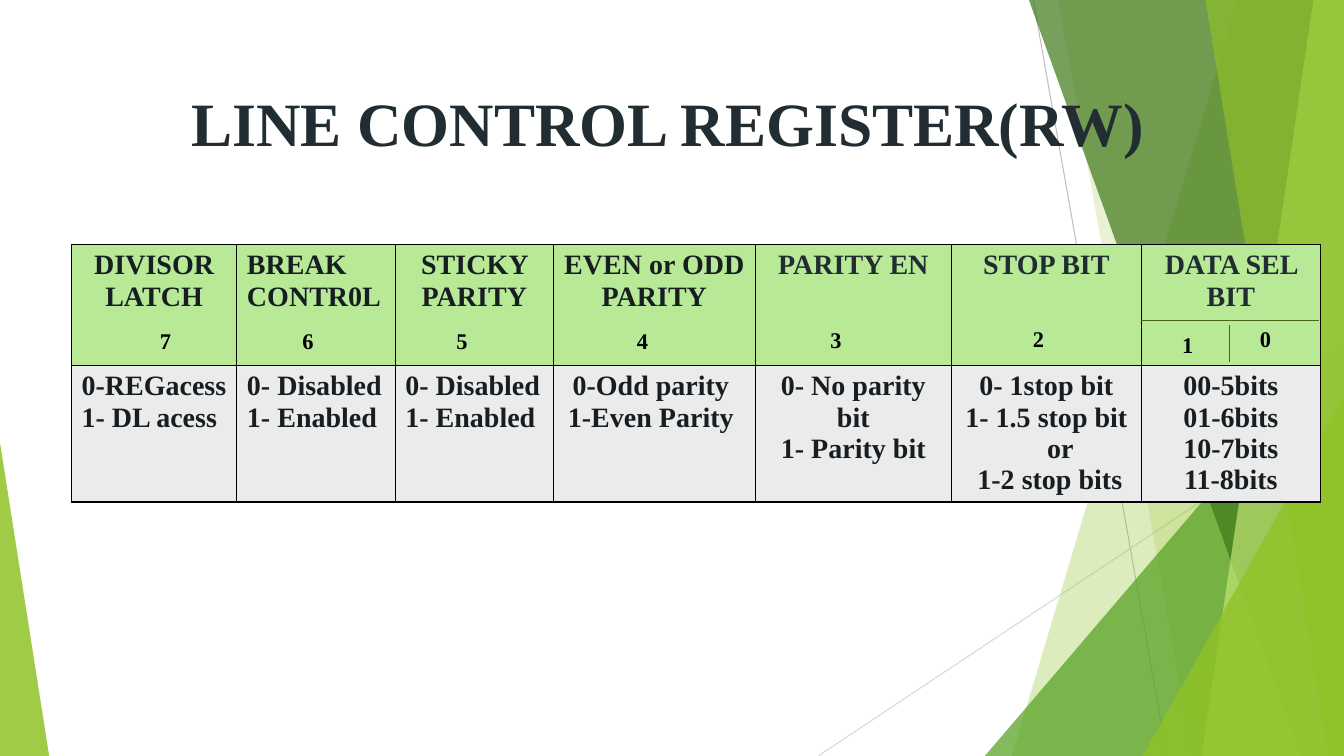
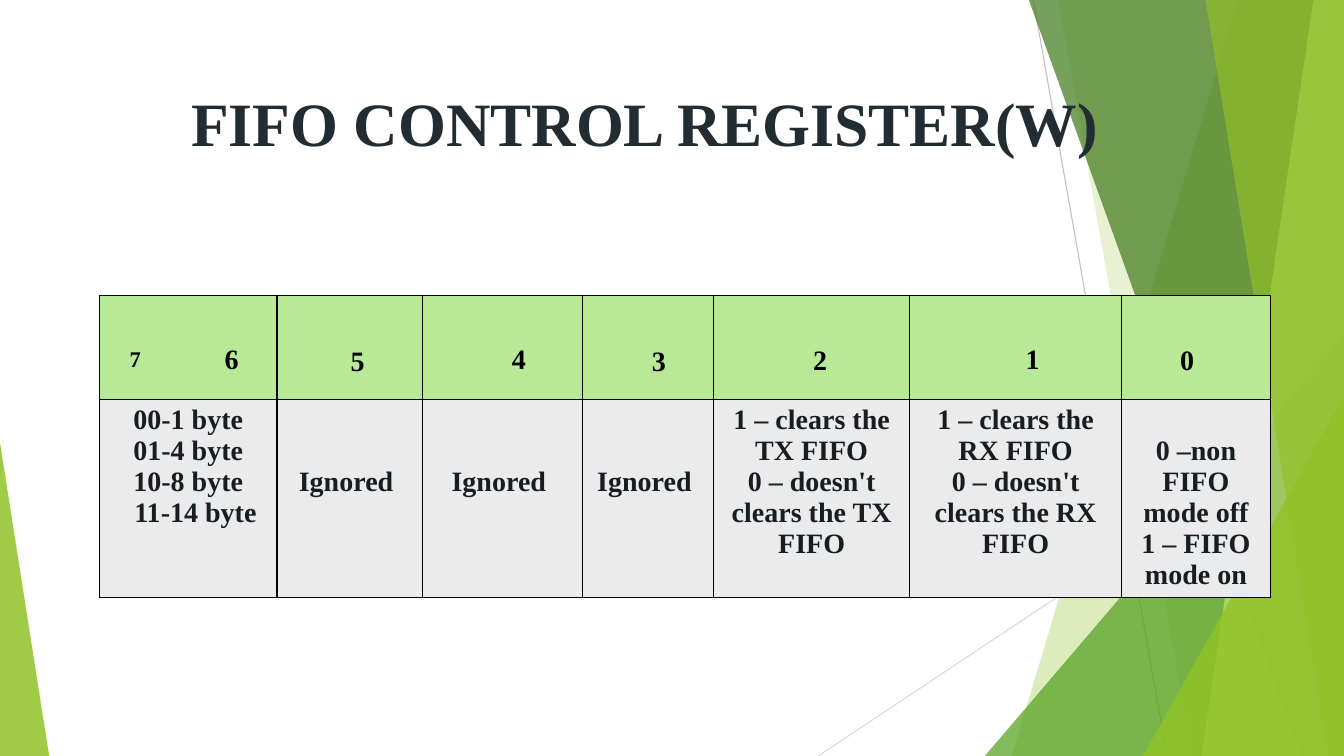
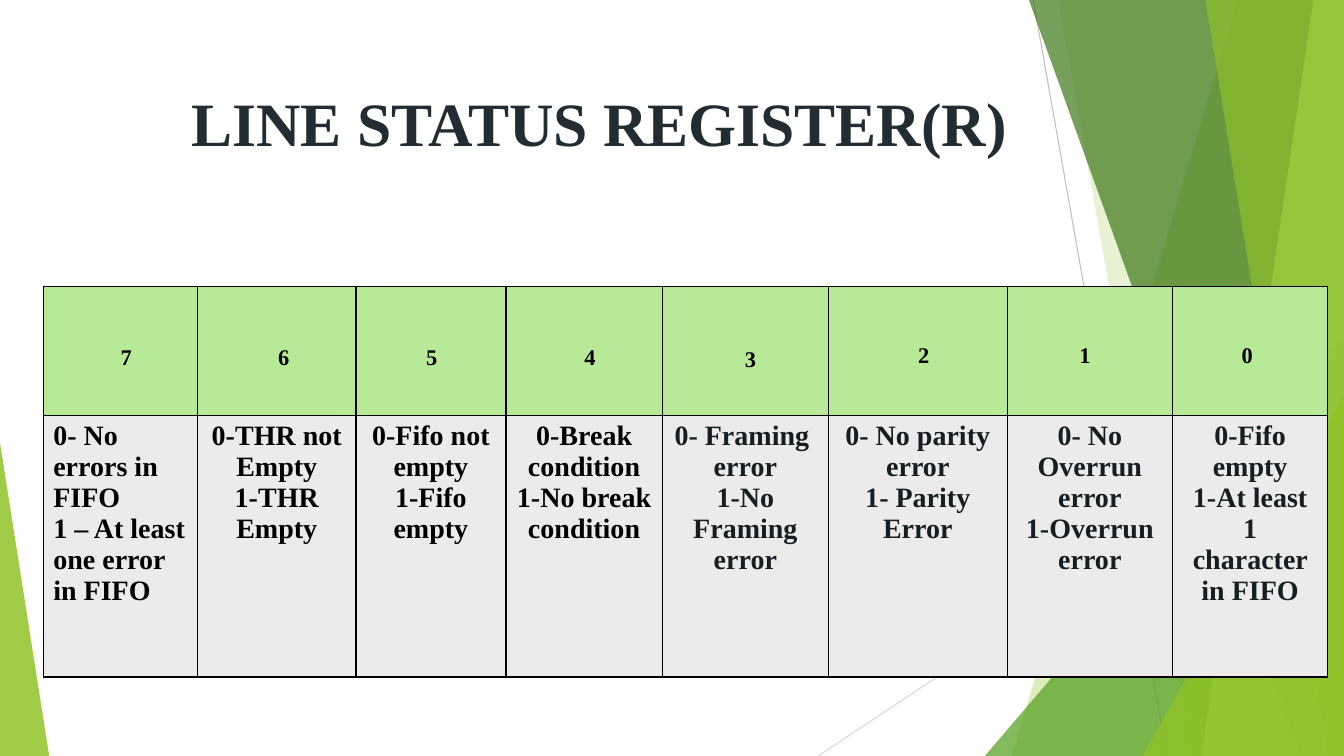
from lxml import etree
from pptx import Presentation
from pptx.dml.color import RGBColor
from pptx.enum.shapes import MSO_CONNECTOR, MSO_SHAPE
from pptx.enum.text import MSO_ANCHOR, MSO_AUTO_SIZE, PP_ALIGN
from pptx.oxml.ns import qn
from pptx.util import Cm, Pt

LEFT, CENTER = PP_ALIGN.LEFT, PP_ALIGN.CENTER
TOP = MSO_ANCHOR.TOP
GROW = MSO_AUTO_SIZE.SHAPE_TO_FIT_TEXT
STRAIGHT = MSO_CONNECTOR.STRAIGHT
TRIANGLE = MSO_SHAPE.ISOSCELES_TRIANGLE

FONT = "Times New Roman"
WIDTH, HEIGHT = 33.87, 19.05
COLORS = {
    "title": "212D32",
    "ink": "161E22",
    "black": "000000",
    "head": "B7E996",
    "body": "EBEBEB",
    "divider": "486113",
    "hairline": "BFBFBF",
    "pale hairline": "D9D9D9",
    "lime": "90C226",
    "green": "54A021",
    "forest": "3F7819",
    "mint": "C0E474",
}

# Facets from back to front: colour, opacity in percent, geometry.
# Bands give top x and bottom x and reach the right edge;
# triangles give left, top, width, height and apex position.
FACETS = [
    ("lime", 30, (31.19, 25.5)),
    ("lime", 20, (26.67, 30.05)),
    ("green", 72, (24.82, 8.46, 9.05, 10.59, 1)),
    ("forest", 70, (25.93, 32.79)),
    ("mint", 70, (33.1, 30.28)),
    ("lime", 65, (30.38, 33.48)),
    ("lime", 80, (28.8, 9.98, 5.07, 9.07, 1)),
    ("lime", 85, (0, 11.15, 1.24, 7.9, 0)),
]

BIT_WIDTHS = {7: 0.97, 6: 0.97, 5: 0.97, 4: 1.12, 3: 0.84, 2: 1.12, 1: 1.12, 0: 1.05}

# Lines that sit right of the centre, and cells whose text starts lower (cm).
LINE_INDENTS = {"or": 0.7, "11-14 byte": 0.36}
CELL_DROPS = {"Ignored ": 1.69, "0 –non FIFO mode off": 0.91}

# Columns: width, heading, heading colour, heading alignment,
#          body lines, body colour, body alignment.
# Bits: left and top of the labels 7 to 0.
REGISTERS = [
    {
        "title": "LINE CONTROL REGISTER(RW)",
        "at": (1.8, 6.17),
        "rows": (3.05, 3.43),
        "columns": [
            (4.17, "DIVISOR LATCH", "ink", CENTER, ["0-REGacess", "1- DL acess"], "ink", LEFT),
            (3.99, "BREAK CONTR0L", "ink", LEFT, ["0- Disabled", "1- Enabled"], "ink", LEFT),
            (3.99, "STICKY PARITY", "ink", CENTER, ["0- Disabled", "1- Enabled"], "ink", LEFT),
            (5.08, "EVEN or ODD PARITY", "ink", CENTER,
             ["0-Odd parity ", "1-Even Parity "], "ink", CENTER),
            (4.95, "PARITY EN", "title", CENTER,
             ["0- No parity bit", "1- Parity bit"], "ink", CENTER),
            (4.78, "STOP BIT", "title", CENTER,
             ["0- 1stop bit", "1- 1.5 stop bit", "or", " 1-2 stop bits"], "ink", CENTER),
            (4.52, "DATA SEL BIT", "title", CENTER,
             ["00-5bits", "01-6bits", "10-7bits", "11-8bits"], "ink", CENTER),
        ],
        "dividers": [(28.75, 8.08, 33.25, 8.08), (30.99, 8.2, 30.99, 9.12)],
        "bit sizes": [16] * 8,
        "bits": [(3.78, 8.13), (7.37, 8.13), (11.25, 8.13), (15.8, 8.13),
                 (20.68, 8.1), (25.78, 8.08), (29.54, 8.23), (31.5, 8.08)],
    },
    {
        "title": "FIFO CONTROL REGISTER(W)",
        "at": (2.51, 7.44),
        "rows": (2.62, 5),
        "columns": [
            (4.47, "", "ink", CENTER,
             ["00-1 byte", "01-4 byte", "10-8 byte", "11-14 byte"], "ink", CENTER),
            (3.66, "", "ink", CENTER, ["Ignored "], "ink", CENTER),
            (4.04, "", "ink", CENTER, ["Ignored "], "ink", CENTER),
            (3.3, "", "ink", CENTER, ["Ignored "], "ink", CENTER),
            (4.95, "", "ink", CENTER,
             ["1 – clears the TX FIFO", "0 – doesn't clears the TX FIFO"], "ink", CENTER),
            (5.33, "", "ink", CENTER,
             ["1 – clears the RX FIFO", "0 – doesn't clears the RX FIFO"], "ink", CENTER),
            (3.76, "", "ink", CENTER,
             ["0 –non FIFO mode off", "1 – FIFO mode on"], "ink", CENTER),
        ],
        "dividers": [],
        "bit sizes": [16] + [20] * 7,
        "bits": [(3.02, 8.56), (5.41, 8.48), (8.59, 8.53), (12.65, 8.48),
                 (16.18, 8.53), (20.24, 8.51), (25.6, 8.48), (29.49, 8.51)],
    },
    {
        "title": "LINE STATUS REGISTER(R)",
        "at": (1.09, 7.21),
        "rows": (3.25, 6.6),
        "columns": [
            (3.89, "", "ink", CENTER,
             ["0- No errors in FIFO", "1 – At least one error in FIFO"], "black", LEFT),
            (3.99, "", "ink", CENTER, ["0-THR not Empty", "1-THR Empty"], "black", CENTER),
            (3.78, "", "ink", CENTER, ["0-Fifo not empty", "1-Fifo empty"], "black", CENTER),
            (3.94, "", "ink", CENTER,
             ["0-Break condition", "1-No break ", "condition"], "black", CENTER),
            (4.19, "", "ink", CENTER,
             ["0- Framing ", "error", "1-No Framing error"], "ink", CENTER),
            (4.5, "", "ink", CENTER,
             ["0- No parity", "error", "1- Parity", "Error"], "ink", CENTER),
            (4.17, "", "ink", CENTER,
             ["0- No Overrun error", "1-Overrun", "error"], "ink", CENTER),
            (3.91, "", "ink", CENTER,
             ["0-Fifo empty", "1-At least 1 character in FIFO"], "ink", CENTER),
        ],
        "dividers": [],
        "bit sizes": [16] * 8,
        "bits": [(2.79, 8.51), (6.76, 8.51), (10.49, 8.51), (14.48, 8.51),
                 (18.52, 8.56), (22.89, 8.48), (26.95, 8.48), (31.04, 8.48)],
    },
]


def write(paragraph, text, size, color, align=LEFT):
    """Add one bold run to the paragraph."""
    paragraph.alignment = align
    run = paragraph.add_run()
    run.text = text
    run.font.name = FONT
    run.font.size = Pt(size)
    run.font.bold = True
    run.font.color.rgb = RGBColor.from_string(COLORS[color])


def add_line(slide, ends, color, weight):
    line = slide.shapes.add_connector(STRAIGHT, *[Cm(end) for end in ends])
    line.line.color.rgb = RGBColor.from_string(COLORS[color])
    line.line.width = Pt(weight)
    etree.SubElement(line.element.spPr, qn("a:effectLst"))
    return line


prs = Presentation()
prs.slide_width, prs.slide_height = Cm(WIDTH), Cm(HEIGHT)
layout = prs.slide_layouts[5]
layout_title = layout.placeholders[0]
layout_title.left, layout_title.top = Cm(4.57), Cm(2.01)
layout_title.width, layout_title.height = Cm(24.77), Cm(3.56)
layout_title.text_frame.vertical_anchor = TOP

slides = [prs.slides.add_slide(layout) for _ in REGISTERS]

# Backdrop: drawn on the first slide, then moved to the shared layout
backdrop = [
    add_line(slides[0], (26.04, 0, 29.41, HEIGHT), "hairline", 0.75),
    add_line(slides[0], (WIDTH, 10.24, 20.62, HEIGHT), "pale hairline", 0.75),
]
for color, opacity, geometry in FACETS:
    if len(geometry) == 2:
        top_x, bottom_x = geometry
        outline = slides[0].shapes.build_freeform(Cm(top_x), Cm(0))
        corners = [(WIDTH, 0), (WIDTH, HEIGHT), (bottom_x, HEIGHT)]
        outline.add_line_segments([(Cm(x), Cm(y)) for x, y in corners])
        facet = outline.convert_to_shape()
    else:
        *box, apex = geometry
        facet = slides[0].shapes.add_shape(TRIANGLE, *[Cm(side) for side in box])
        facet.adjustments[0] = apex
    facet.shadow.inherit = False
    facet.fill.solid()
    facet.fill.fore_color.rgb = RGBColor.from_string(COLORS[color])
    facet.line.fill.background()
    tint = facet.element.spPr.find(".//" + qn("a:srgbClr"))
    etree.SubElement(tint, qn("a:alpha"), val=str(opacity * 1000))
    backdrop.append(facet)

for order, part in enumerate(backdrop):
    part.element.find(".//" + qn("p:cNvPr")).set("id", str(100 + order))
    layout.shapes.element.insert(2 + order, part.element)

for slide, register in zip(slides, REGISTERS):
    write(slide.shapes.title.text_frame.paragraphs[0], register["title"], 44, "title")

    columns = register["columns"]
    left, top = register["at"]
    total_width = sum(column[0] for column in columns)
    table = slide.shapes.add_table(
        2, len(columns), Cm(left), Cm(top), Cm(total_width), Cm(sum(register["rows"]))
    ).table
    for row, height in zip(table.rows, register["rows"]):
        row.height = Cm(height)

    for index, column in enumerate(columns):
        width, heading, head_color, head_align, lines, body_color, body_align = column
        table.columns[index].width = Cm(width)
        contents = [
            ([heading] if heading else [], head_color, head_align, "head"),
            (lines, body_color, body_align, "body"),
        ]
        for row_index, (texts, color, align, fill) in enumerate(contents):
            cell = table.cell(row_index, index)
            cell.fill.solid()
            cell.fill.fore_color.rgb = RGBColor.from_string(COLORS[fill])
            cell_properties = cell._tc.get_or_add_tcPr()
            for place, side in enumerate(("a:lnL", "a:lnR", "a:lnT", "a:lnB")):
                border = etree.Element(qn(side), w=str(Pt(1)))
                paint = etree.SubElement(border, qn("a:solidFill"))
                etree.SubElement(paint, qn("a:srgbClr"), val=COLORS["black"])
                cell_properties.insert(place, border)

            for number, text in enumerate(texts):
                frame = cell.text_frame
                paragraph = frame.add_paragraph() if number else frame.paragraphs[0]
                write(paragraph, text, 20, color, align)
                if text in LINE_INDENTS:
                    indent = Cm(LINE_INDENTS[text])
                    paragraph._p.get_or_add_pPr().set("marL", str(indent))
                if text in CELL_DROPS:
                    cell.margin_top = Cm(CELL_DROPS[text])

    for ends in register["dividers"]:
        add_line(slide, ends, "divider", 1)

    for bit, (x, y), size in zip(range(7, -1, -1), register["bits"], register["bit sizes"]):
        label_height = 0.94 if size == 16 else 1.12
        label = slide.shapes.add_textbox(Cm(x), Cm(y), Cm(BIT_WIDTHS[bit]), Cm(label_height))
        label.text_frame.word_wrap = True
        label.text_frame.auto_size = GROW
        write(label.text_frame.paragraphs[0], str(bit), size, "black")

prs.save("out.pptx")
